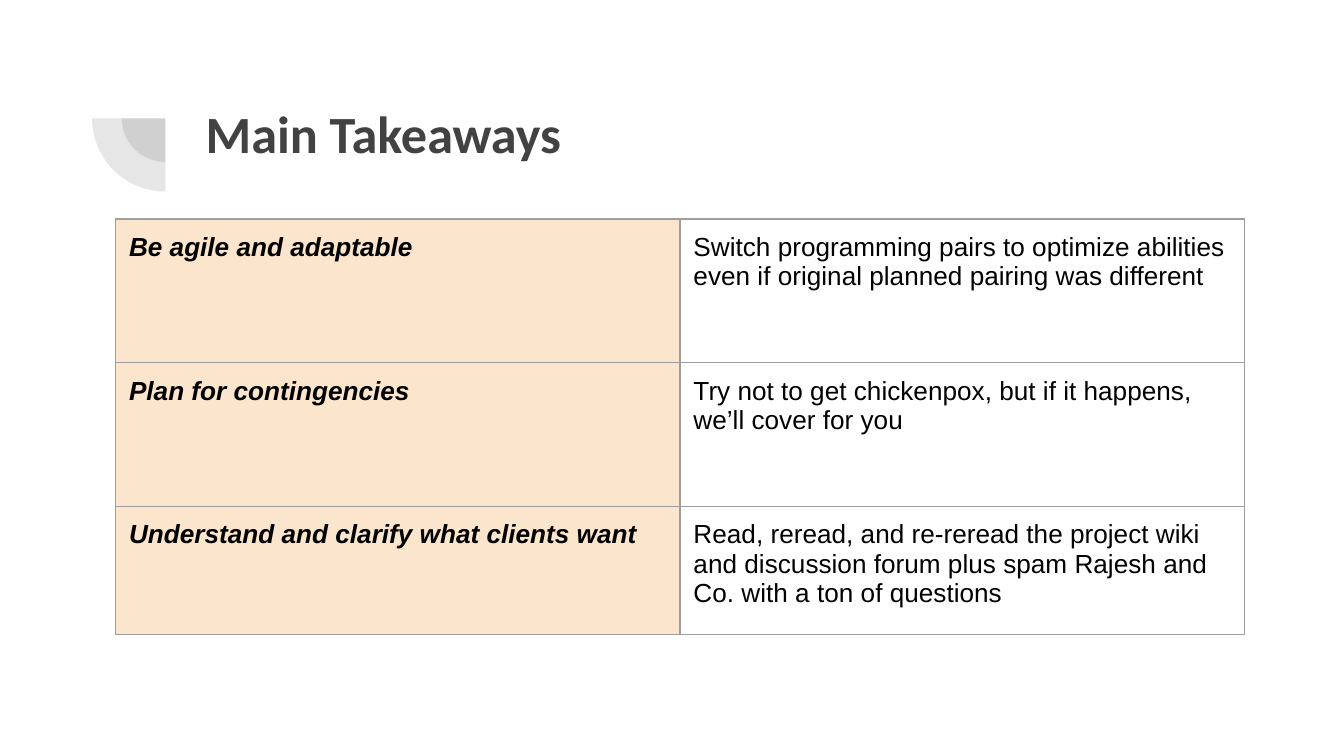
from lxml import etree
from pptx import Presentation
from pptx import util as u
from pptx.dml.color import RGBColor
from pptx.enum import shapes, text
from pptx.oxml import ns

GREY = RGBColor(0x42, 0x42, 0x42)
BLACK = RGBColor(0, 0, 0)
WHITE = RGBColor(0xFF, 0xFF, 0xFF)
PEACH = RGBColor(0xFC, 0xE5, 0xCD)
BORDER = RGBColor(0x9E, 0x9E, 0x9E)

TAKEAWAYS = [
    ("Be agile and adaptable",
     "Switch programming pairs to optimize abilities even if original planned pairing was different"),
    ("Plan for contingencies",
     "Try not to get chickenpox, but if it happens, we’ll cover for you"),
    ("Understand and clarify what clients want",
     "Read, reread, and re-reread the project wiki and discussion forum plus spam Rajesh and Co. with a ton of questions"),
]


class TakeawaySlide:
    """Holds the slide and its style, with a method for each kind of element."""

    def __init__(self, slide):
        self.slide = slide
        self.inset = u.Inches(0.1)

    def set_insets(self, holder):
        holder.margin_left = holder.margin_right = self.inset
        holder.margin_top = holder.margin_bottom = self.inset

    def add_run(self, paragraph, words, font, size, color, bold=False, italic=False):
        paragraph.alignment = text.PP_ALIGN.LEFT
        run = paragraph.add_run()
        run.text = words
        run.font.name, run.font.size = font, u.Pt(size)
        run.font.bold, run.font.italic = bold, italic
        run.font.color.rgb = color

    def add_title(self, words, left, top, width, height):
        title = self.slide.shapes.title
        title.left, title.top = u.Inches(left), u.Inches(top)
        title.width, title.height = u.Inches(width), u.Inches(height)
        frame = title.text_frame
        frame.word_wrap = True
        frame.auto_size = text.MSO_AUTO_SIZE.NONE
        frame.vertical_anchor = text.MSO_ANCHOR.TOP
        self.set_insets(frame)
        self.add_run(frame.paragraphs[0], words, "Calibri", 28, GREY, bold=True)

    def add_quadrant(self, center_x, center_y, diameter):
        quadrant = self.slide.shapes.add_shape(
            shapes.MSO_SHAPE.PIE,
            u.Inches(center_x - diameter / 2), u.Inches(center_y - diameter / 2),
            u.Inches(diameter), u.Inches(diameter))
        quadrant.adjustments[0], quadrant.adjustments[1] = 108, 162
        quadrant.rotation = 270
        quadrant.shadow.inherit = False
        quadrant.line.fill.background()
        quadrant.fill.solid()
        quadrant.fill.fore_color.rgb = GREY
        tint = quadrant.element.spPr.find(ns.qn("a:solidFill"))[0]
        etree.SubElement(tint, ns.qn("a:alpha"), val="13000")

    def add_borders(self, cell):
        properties = cell._tc.get_or_add_tcPr()
        for index, side in enumerate("LRTB"):
            line = etree.Element(ns.qn(f"a:ln{side}"), w=str(u.Pt(0.75)))
            fill = etree.SubElement(line, ns.qn("a:solidFill"))
            etree.SubElement(fill, ns.qn("a:srgbClr"), val=str(BORDER))
            properties.insert(index, line)

    def add_table(self, rows, left, top, widths, heights):
        table = self.slide.shapes.add_table(
            len(rows), len(widths), u.Inches(left), u.Inches(top),
            u.Inches(sum(widths)), u.Inches(sum(heights))).table
        table.first_row = table.horz_banding = False
        for column, width in zip(table.columns, widths):
            column.width = u.Inches(width)
        for row, height, entries in zip(table.rows, heights, rows):
            row.height = u.Inches(height)
            for index, (cell, words) in enumerate(zip(row.cells, entries)):
                lesson = index == 0
                self.set_insets(cell)
                cell.vertical_anchor = text.MSO_ANCHOR.TOP
                cell.fill.solid()
                cell.fill.fore_color.rgb = PEACH if lesson else WHITE
                self.add_run(cell.text_frame.paragraphs[0], words, "Arial", 14,
                             BLACK, bold=lesson, italic=lesson)
                self.add_borders(cell)


def main():
    deck = Presentation()
    deck.slide_width, deck.slide_height = u.Inches(10), u.Inches(10 * 9 / 16)
    page = TakeawaySlide(deck.slides.add_slide(deck.slide_layouts[5]))
    for diameter in (0.65, 1.09):
        page.add_quadrant(1.23, 0.88, diameter)
    page.add_title("Main Takeaways", 1.43, 0.65, 7.69, 1.09)
    page.add_table(TAKEAWAYS, 0.86, 1.63, [4.2, 4.2], [1.07, 1.07, 0.95])
    deck.save("out.pptx")


if __name__ == "__main__":
    main()
